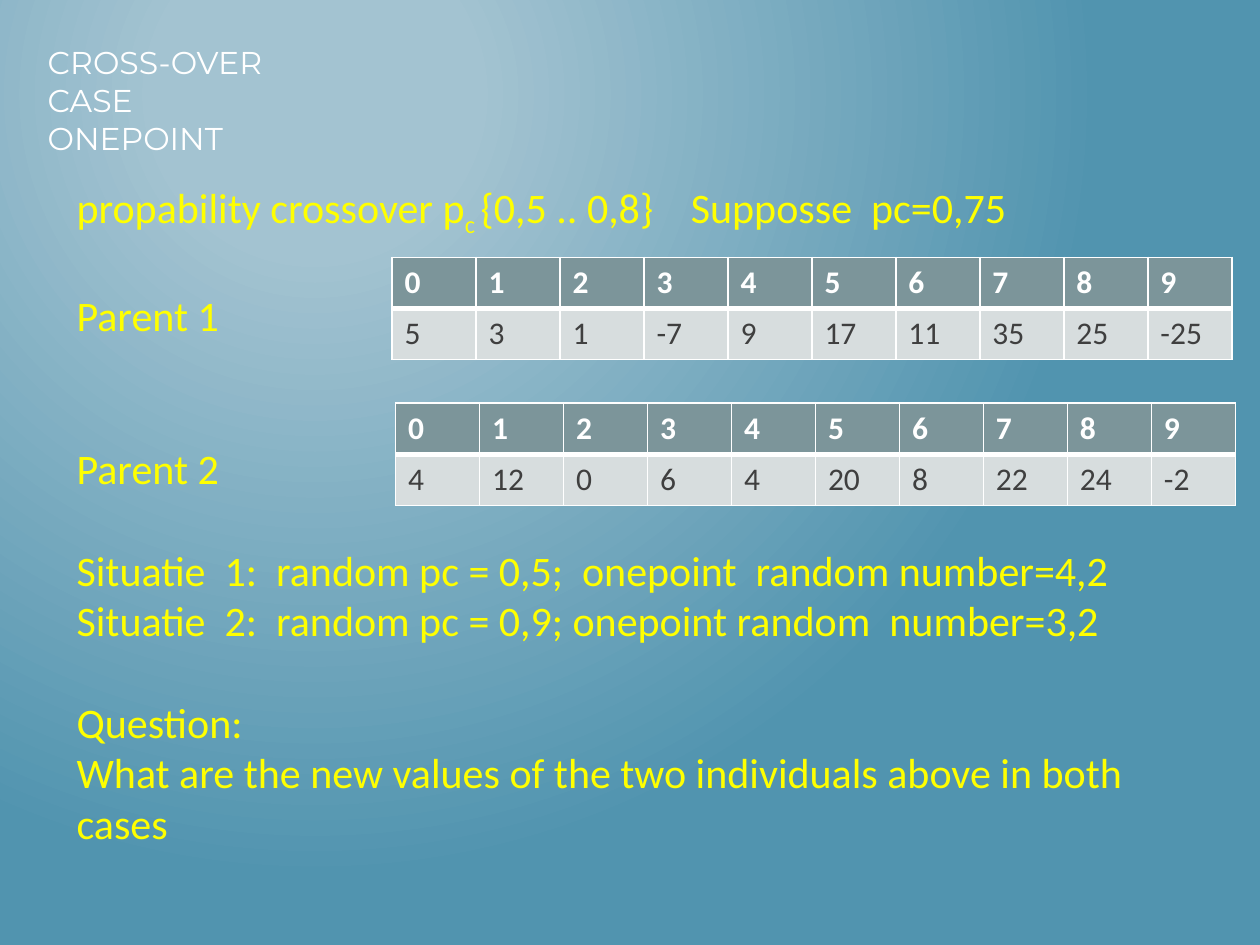
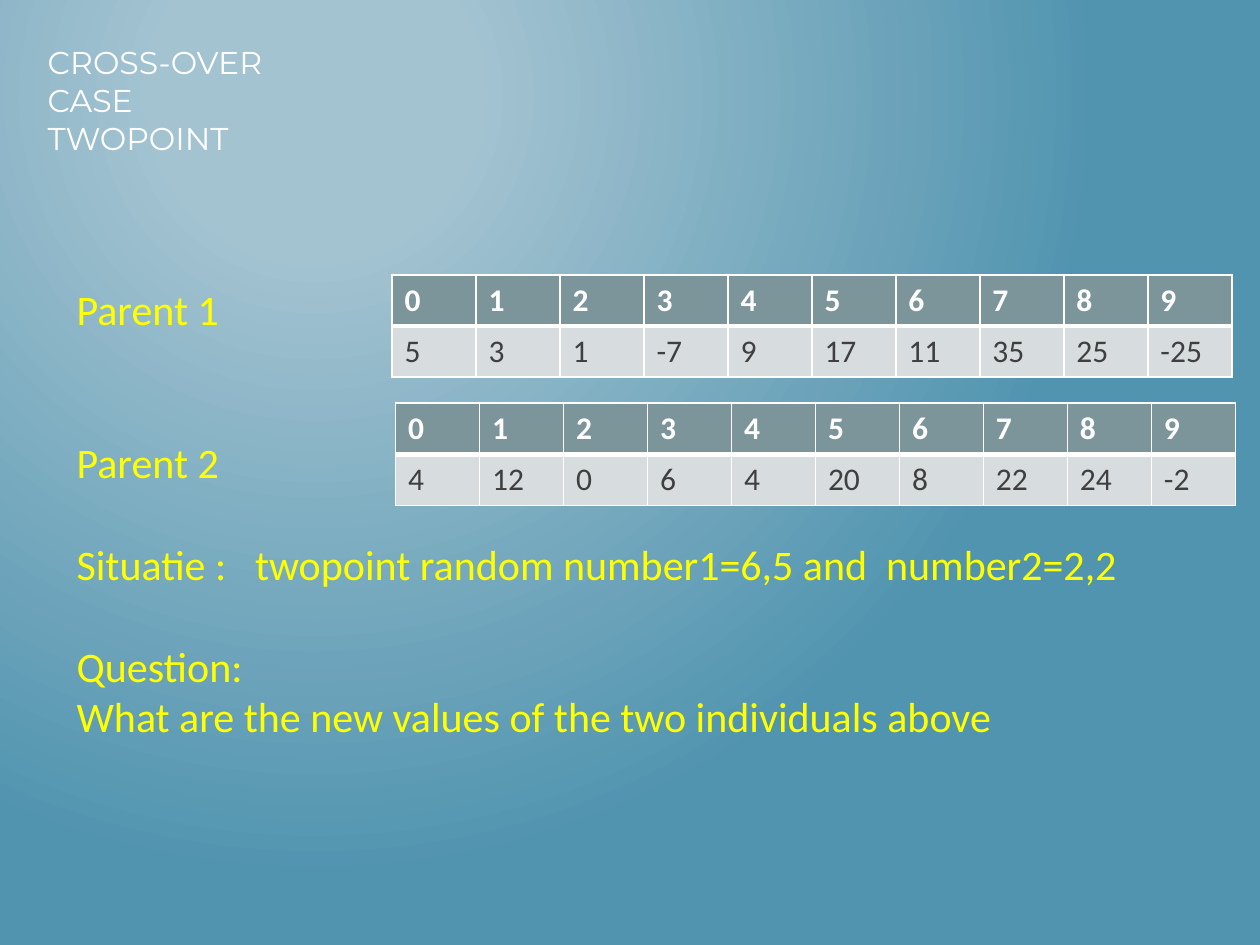
from lxml import etree
from pptx import Presentation
from pptx.dml.color import RGBColor
from pptx.enum.text import MSO_ANCHOR, MSO_AUTO_SIZE, PP_ALIGN
from pptx.oxml.ns import qn
from pptx.util import Pt

TOP = MSO_ANCHOR.TOP
NO_FIT = MSO_AUTO_SIZE.NONE
LEFT = PP_ALIGN.LEFT

COLORS = {
    "glow": "A3C3D1", "deep": "5194AF", "white": "FFFFFF", "yellow": "FFFF00",
    "head": "7C959A", "cell": "D7DDDE", "dark": "3F3F3F",
}
TITLE_FONT, BODY_FONT = "Montserrat", "Calibri"
LINE = 29.3      # height of one 24 pt body line
INSET = 3.6      # default top margin of a text box
COL_W, ROW_H = 48, 29.2

PARENT_1 = [5, 3, 1, -7, 9, 17, 11, 35, 25, -25]
PARENT_2 = [4, 12, 0, 6, 4, 20, 8, 22, 24, -2]


def rgb(name):
    """Return the named colour."""
    return RGBColor.from_string(COLORS[name])


class Deck:
    """Holds the style, the presentation and the current slide."""

    def __init__(self):
        self.prs = Presentation()
        self.prs.slide_width, self.prs.slide_height = Pt(720), Pt(540)
        self.s = None
        self.background()

    def background(self):
        """Give the master a circular gradient with its centre at upper left."""
        master = self.prs.slide_master
        fill = master.background.fill
        fill.gradient()
        for stop, name, pos in zip(fill.gradient_stops, ("glow", "deep"), (0.2, 1)):
            stop.color.rgb = rgb(name)
            stop.position = pos
        grad = master.element.find(".//" + qn("a:gradFill"))
        grad.remove(grad.find(qn("a:lin")))
        circle = etree.SubElement(grad, qn("a:path"))
        circle.set("path", "circle")
        rect = etree.SubElement(circle, qn("a:fillToRect"))
        for side, percent in zip("ltrb", (50, 20, 100, 100)):
            rect.set(side, str(percent * 1000))

    def font(self, p, name, size, color, bold=False):
        """Set the font of a whole paragraph."""
        p.font.name, p.font.size, p.font.bold = name, Pt(size), bold
        p.font.color.rgb = rgb(color)

    def slide(self, title, height):
        """Start a slide with its title."""
        self.s = self.prs.slides.add_slide(self.prs.slide_layouts[5])
        sp = self.s.shapes.title
        sp.left, sp.top, sp.width, sp.height = Pt(20), Pt(21), Pt(163.5), Pt(height)
        tf = sp.text_frame
        tf.text = title
        tf.word_wrap, tf.auto_size, tf.vertical_anchor = True, NO_FIT, TOP
        p = tf.paragraphs[0]
        p.alignment = LEFT
        self.font(p, TITLE_FONT, 18, "white")

    def body(self, height, items):
        """Add body text; an item is (blank lines before, runs, tab stop)."""
        tf = self.s.shapes.add_textbox(Pt(36.7), Pt(100), Pt(652.3), Pt(height)).text_frame
        tf.word_wrap, tf.auto_size = True, NO_FIT
        for i, (gap, runs, tab) in enumerate(items):
            if i:
                p = tf.add_paragraph()
                p.space_before = Pt(gap * LINE)
            else:
                p = tf.paragraphs[0]
                tf.margin_top = Pt(INSET + gap * LINE)
            self.font(p, BODY_FONT, 24, "yellow")
            if tab:
                self.tab_stop(p, tab)
            for text, lowered in runs:
                r = p.add_run()
                r.text = text
                if lowered:
                    r._r.get_or_add_rPr().set("baseline", "-25000")

    def tab_stop(self, p, pos):
        """Put one left tab stop in a paragraph."""
        tabs = etree.Element(qn("a:tabLst"))
        etree.SubElement(tabs, qn("a:tab"), pos=str(Pt(pos)), algn="l")
        p._p.get_or_add_pPr().find(qn("a:defRPr")).addprevious(tabs)

    def genes(self, x, y, values):
        """Add a table with gene positions above the gene values."""
        n = len(values)
        table = self.s.shapes.add_table(
            2, n, Pt(x), Pt(y), Pt(n * COL_W), Pt(2 * ROW_H)).table
        for col in table.columns:
            col.width = Pt(COL_W)
        rows = ((range(n), "head", "white", True, (1, 1, 1, 3)),
                (values, "cell", "dark", False, (1, 1, 3, 1)))
        for i, (row, fill, color, bold, widths) in enumerate(rows):
            table.rows[i].height = Pt(ROW_H)
            for j, value in enumerate(row):
                cell = table.cell(i, j)
                cell.text = str(value)
                cell.fill.solid()
                cell.fill.fore_color.rgb = rgb(fill)
                self.font(cell.text_frame.paragraphs[0], BODY_FONT, 18, color, bold)
                self.borders(cell, widths)

    def borders(self, cell, widths):
        """Draw white cell borders, widths for left, right, top, bottom."""
        tc_pr = cell._tc.get_or_add_tcPr()
        for i, (side, width) in enumerate(zip("LRTB", widths)):
            ln = etree.Element(qn("a:ln" + side), w=str(Pt(width)))
            fill = etree.SubElement(ln, qn("a:solidFill"))
            etree.SubElement(fill, qn("a:srgbClr"), val=COLORS["white"])
            tc_pr.insert(i, ln)


def line(gap, text, tab=None):
    """Return a body item of one plain run."""
    return gap, [(text, False)], tab


QUESTION = "What are the new values of the two individuals above"

deck = Deck()

deck.slide("CROSS-OVER  CASE  ONEPOINT", 155.5)
deck.body(440, [
    (0, [("propability crossover p", False), ("c\u00a0", True),
         ("{0,5 .. 0,8}\tSupposse  pc=0,75", False)], 351),
    line(1, "Parent 1"),
    line(2, "Parent 2"),
    line(1, "Situatie  1:  random pc = 0,5;  onepoint  random number=4,2"),
    line(0, "Situatie  2:  random pc = 0,9; onepoint random  number=3,2"),
    line(1, "Question:"),
    line(0, QUESTION + " in both cases"),
])
deck.genes(224, 147, PARENT_1)
deck.genes(226, 230.4, PARENT_2)

deck.slide("CROSS-OVER  CASE  TWOPOINT", 108)
deck.body(371, [
    line(2, "Parent 1"),
    line(2, "Parent 2"),
    line(1, "Situatie :\ttwopoint random number1=6,5 and  number2=2,2", 102),
    line(1, "Question:"),
    line(0, QUESTION),
])
deck.genes(224, 157, PARENT_1)
deck.genes(226, 230.4, PARENT_2)

deck.prs.save("out.pptx")
